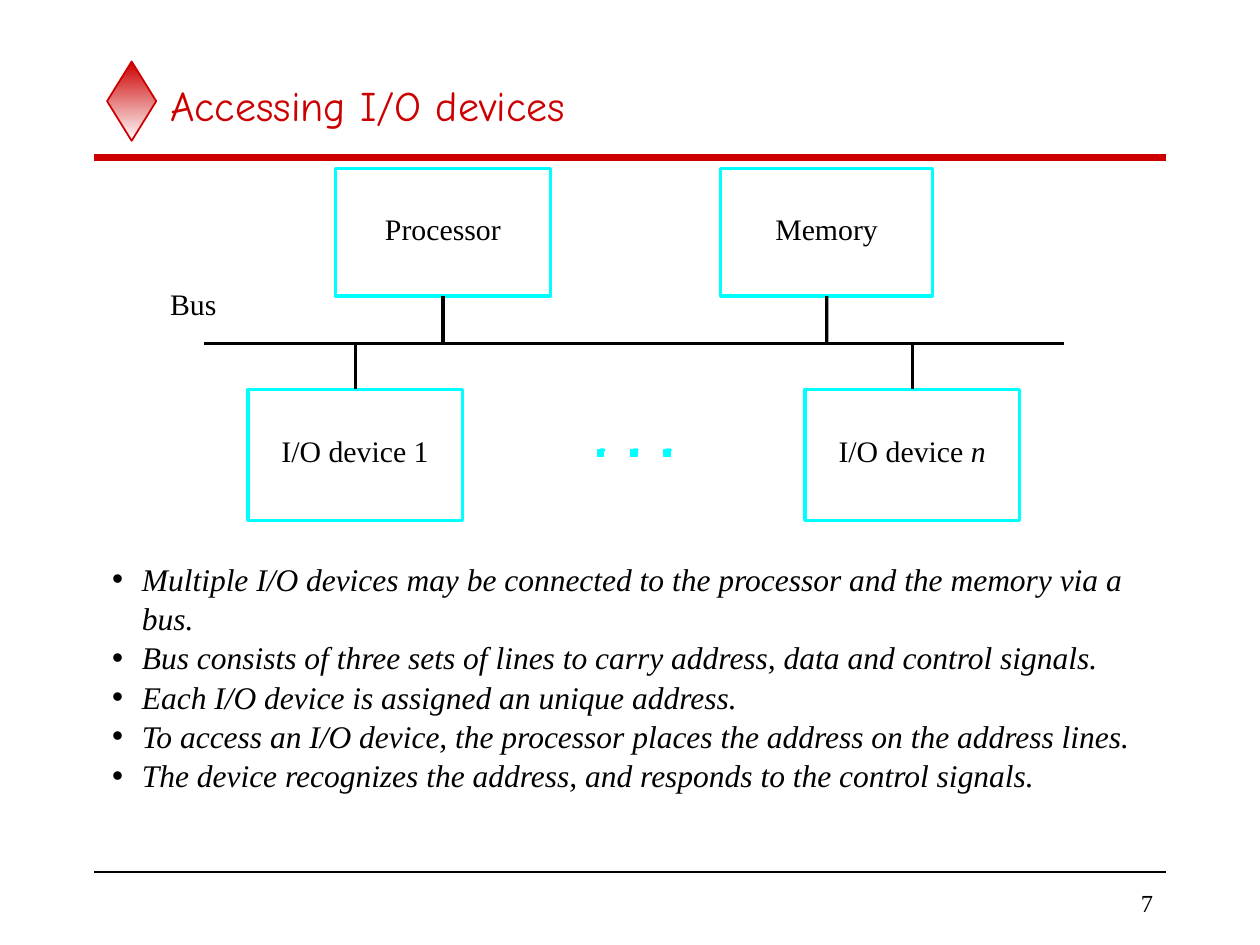
from dataclasses import dataclass

from lxml import etree
from pptx import Presentation
from pptx.dml.color import RGBColor
from pptx.enum.shapes import MSO_CONNECTOR, MSO_SHAPE
from pptx.enum.text import MSO_ANCHOR, MSO_AUTO_SIZE, PP_ALIGN
from pptx.oxml.ns import qn
from pptx.util import Cm, Pt

RECT, DIAMOND = MSO_SHAPE.RECTANGLE, MSO_SHAPE.DIAMOND
STRAIGHT = MSO_CONNECTOR.STRAIGHT
TOP, MIDDLE = MSO_ANCHOR.TOP, MSO_ANCHOR.MIDDLE
LEFT, CENTER, RIGHT = PP_ALIGN.LEFT, PP_ALIGN.CENTER, PP_ALIGN.RIGHT
NO_FIT = MSO_AUTO_SIZE.NONE
TOP_SIDE, BOTTOM_SIDE = 0, 2


@dataclass(frozen=True)
class Theme:
    red: RGBColor = RGBColor(0xCC, 0x00, 0x00)
    cyan: RGBColor = RGBColor(0x00, 0xFF, 0xFF)
    black: RGBColor = RGBColor(0x00, 0x00, 0x00)
    white: RGBColor = RGBColor(0xFF, 0xFF, 0xFF)
    head: str = "Comic Neue"
    text: str = "Times New Roman"
    title: Pt = Pt(24)
    body: Pt = Pt(18)
    label: Pt = Pt(17)
    page: Pt = Pt(14)
    line: Pt = Pt(1.87)


THEME = Theme()
BUS_Y = 6.92
BOXES = [  # label, italic ending, left, top, width, height, side facing the bus
    ("Processor", "", 6.76, 3.4, 4.34, 2.57, BOTTOM_SIDE),
    ("Memory", "", 14.53, 3.4, 4.27, 2.57, BOTTOM_SIDE),
    ("I/O device 1", "", 5, 7.85, 4.32, 2.64, TOP_SIDE),
    ("I/O device ", "n", 16.23, 7.85, 4.32, 2.64, TOP_SIDE),
]
POINTS = [
    "Multiple I/O devices may be connected to the processor and the memory via a bus.",
    "Bus consists of three sets of lines to carry address, data and control signals.",
    "Each I/O device is assigned an unique address.",
    "To access an I/O device, the processor places the address on the address lines.",
    "The device recognizes the address, and responds to the control signals.",
]


def apply(item, **values):
    for name, value in values.items():
        setattr(item, name, value)


def place(shape, *box):
    names = ("left", "top", "width", "height")
    apply(shape, **{name: Cm(size) for name, size in zip(names, box)})


def write(para, text, size, color=THEME.black, font=THEME.text, italic=False):
    run = para.add_run()
    run.text = text
    apply(run.font, size=size, name=font, italic=italic)
    run.font.color.rgb = color


def set_frame(frame, anchor=TOP, pad=0.0):
    apply(frame, word_wrap=True, auto_size=NO_FIT, vertical_anchor=anchor,
          margin_left=Cm(pad), margin_right=Cm(pad),
          margin_top=Cm(pad / 2), margin_bottom=Cm(pad / 2))


def add_text(slide, text, box, size, align=LEFT):
    frame = slide.shapes.add_textbox(*map(Cm, box)).text_frame
    set_frame(frame, MIDDLE)
    para = frame.paragraphs[0]
    para.alignment = align
    write(para, text, size)


def add_line(slide, ends, color=THEME.black, width=THEME.line):
    line = slide.shapes.add_connector(STRAIGHT, *map(Cm, ends))
    line.line.color.rgb = color
    line.line.width = width
    etree.SubElement(line._element.spPr, qn("a:effectLst"))
    return line


def add_box(slide, label, ending, left, top, width, height, side):
    """Draw a labelled box and its link to the bus."""
    box = slide.shapes.add_shape(RECT, *map(Cm, (left, top, width, height)))
    box.shadow.inherit = False
    box.fill.background()
    box.line.color.rgb = THEME.cyan
    box.line.width = THEME.line
    frame = box.text_frame
    set_frame(frame, MIDDLE)
    frame.margin_bottom = Cm(0.16)
    para = frame.paragraphs[0]
    para.alignment = CENTER
    write(para, label, THEME.label)
    if ending:
        write(para, ending, THEME.label, italic=True)
    mid = left + width / 2
    edge = top if side == TOP_SIDE else top + height
    add_line(slide, (mid, edge, mid, BUS_Y)).begin_connect(box, side)


def add_outline(slide, points):
    first, *rest = [(Cm(x), Cm(y)) for x, y in points]
    path = slide.shapes.build_freeform(*first)
    path.add_line_segments(rest, close=True)
    shape = path.convert_to_shape()
    shape.shadow.inherit = False
    return shape


def add_dot(slide, x, y, side=0.13):
    """Draw a small square with a spur at its upper right corner."""
    mid, right = x + side / 2, x + side
    square = add_outline(slide, [(x, y), (right, y), (right, y + side), (x, y + side)])
    square.fill.solid()
    square.fill.fore_color.rgb = THEME.cyan
    square.line.color.rgb = THEME.cyan
    square.line.width = 0
    spur = add_outline(slide, [(mid, y), (mid, y + side / 2), (right, y)])
    spur.fill.background()
    spur.line.color.rgb = THEME.cyan
    spur.line.width = THEME.line


def add_diamond(slide):
    gem = slide.shapes.add_shape(DIAMOND, *map(Cm, (2.16, 1.24, 0.99, 1.6)))
    gem.shadow.inherit = False
    gem.fill.gradient()
    gem.fill.gradient_angle = 270
    for stop, color in zip(gem.fill.gradient_stops, (THEME.red, THEME.white)):
        stop.color.rgb = color
    gem.line.color.rgb = THEME.red
    gem.line.width = Pt(1)


def fill_title(title, text):
    place(title, 3.18, 1.27, 20.32, 1.7)
    set_frame(title.text_frame, MIDDLE, 0.25)
    para = title.text_frame.paragraphs[0]
    para.alignment = LEFT
    write(para, text, THEME.title, THEME.red, THEME.head)


def fill_list(body, points):
    place(body, 2.01, 11.13, 21.72, 4.9)
    frame = body.text_frame
    set_frame(frame, TOP, 0.25)
    for i, point in enumerate(points):
        para = frame.add_paragraph() if i else frame.paragraphs[0]
        props = para._p.get_or_add_pPr()
        props.set("marL", str(Cm(0.6)))
        props.set("indent", str(-Cm(0.6)))
        etree.SubElement(props, qn("a:buChar")).set("char", "•")
        apply(para, alignment=LEFT, space_before=Pt(0), line_spacing=1.04)
        write(para, point, THEME.body, italic=True)


def main():
    deck = Presentation()
    apply(deck, slide_width=Cm(25.4), slide_height=Cm(19.05))
    slide = deck.slides.add_slide(deck.slide_layouts[1])
    title, body = slide.placeholders

    add_diamond(slide)
    add_line(slide, (1.9, 3.18, 23.5, 3.18), THEME.red, Pt(4))
    add_line(slide, (1.9, 17.58, 23.5, 17.58), width=Pt(1))
    add_text(slide, "7", (19.9, 17.78, 3.35, 0.84), THEME.page, RIGHT)
    fill_title(title, "Accessing I/O devices")

    add_line(slide, (4.11, BUS_Y, 21.44, BUS_Y))
    add_text(slide, "Bus", (3.43, 5.77, 1.2, 0.71), THEME.label)
    for box in BOXES:
        add_box(slide, *box)
    for i in range(3):
        add_dot(slide, 12.04 + 0.67 * i, 9.07)
    fill_list(body, POINTS)
    deck.save("out.pptx")


if __name__ == "__main__":
    main()
